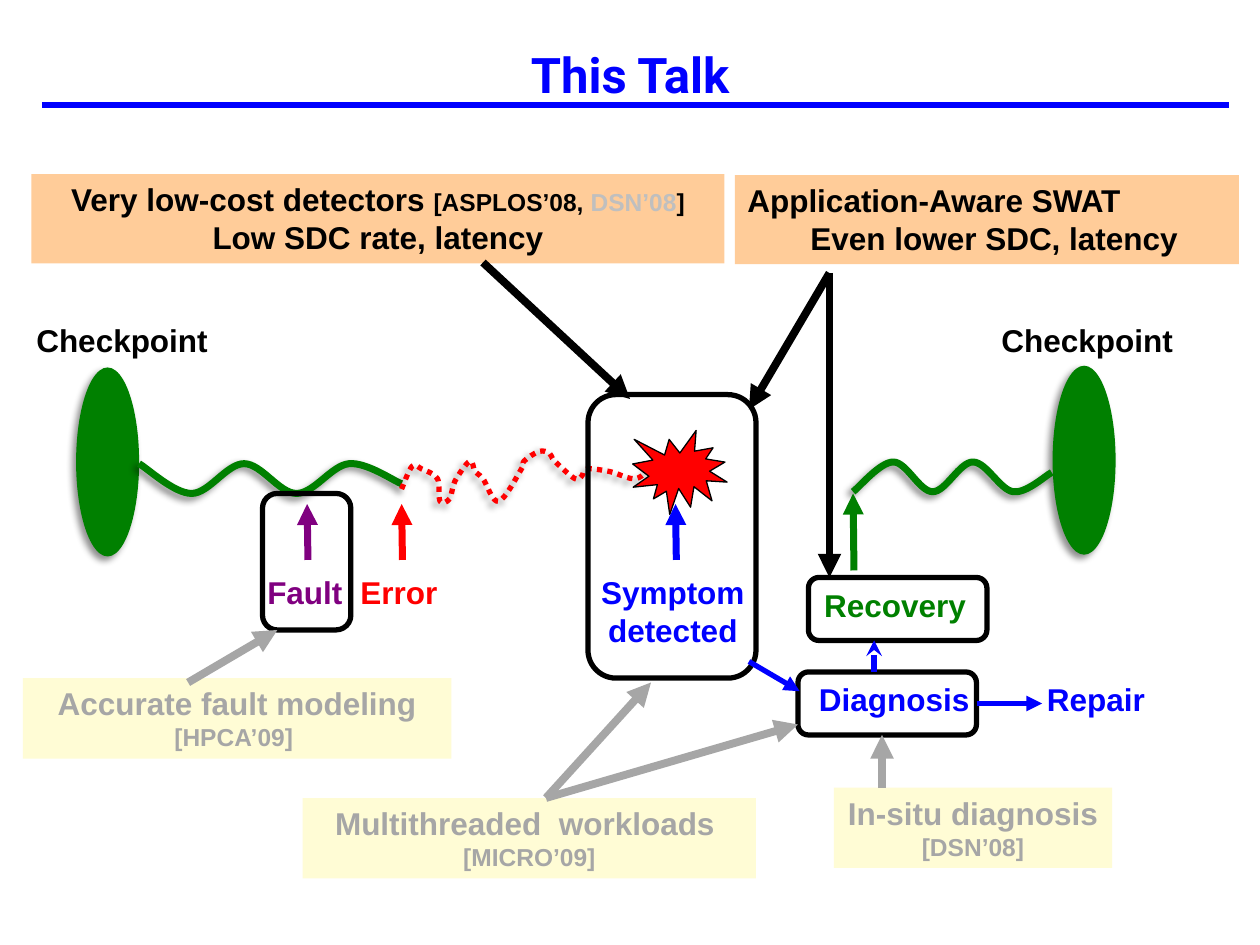
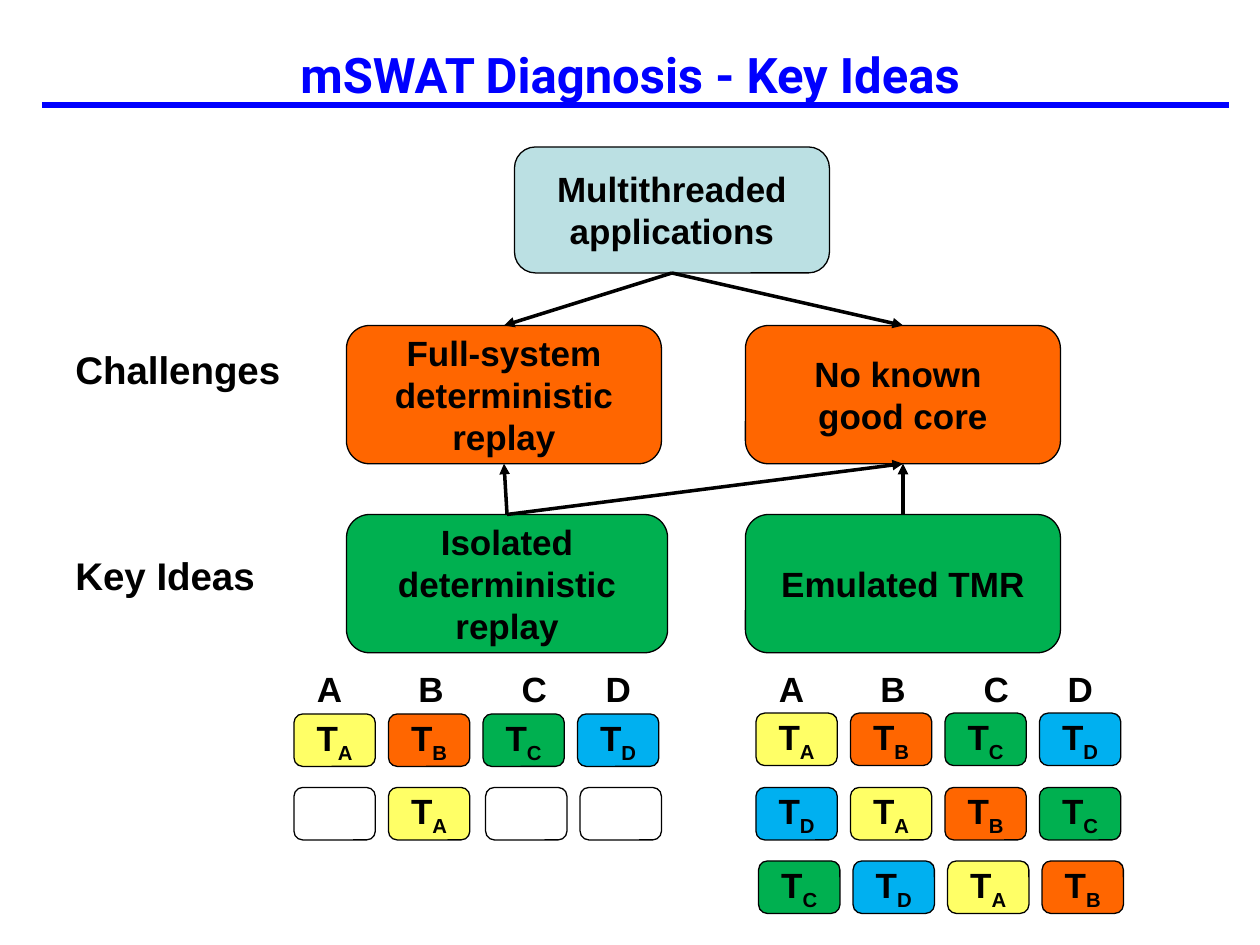
from dataclasses import dataclass
from typing import NamedTuple, Optional

import lxml.etree
import pptx
import pptx.dml.color
import pptx.enum.dml
import pptx.enum.shapes
import pptx.enum.text
import pptx.oxml
import pptx.oxml.ns
import pptx.util

Pt = pptx.util.Pt
RGB = pptx.dml.color.RGBColor
SHAPE = pptx.enum.shapes.MSO_SHAPE
ALIGN = pptx.enum.text.PP_ALIGN
ANCHOR = pptx.enum.text.MSO_ANCHOR
GROW = pptx.enum.text.MSO_AUTO_SIZE.SHAPE_TO_FIT_TEXT
STRAIGHT = pptx.enum.shapes.MSO_CONNECTOR.STRAIGHT
DOTS = pptx.enum.dml.MSO_LINE.ROUND_DOT

BLACK = RGB(0x00, 0x00, 0x00)
BLUE = RGB(0x00, 0x00, 0xFF)
GREEN = RGB(0x00, 0x80, 0x00)
RED = RGB(0xFF, 0x00, 0x00)
PURPLE = RGB(0x80, 0x00, 0x80)
GRAY = RGB(0xA6, 0xA6, 0xA6)
SILVER = RGB(0xBF, 0xBF, 0xBF)
PEACH = RGB(0xFF, 0xCC, 0x99)
CREAM = RGB(0xFF, 0xFC, 0xD5)
ORANGE = RGB(0xFF, 0x66, 0x00)
LEAF = RGB(0x00, 0xB0, 0x50)
TEAL = RGB(0xBB, 0xE0, 0xE3)
YELLOW = RGB(0xFF, 0xFF, 0x66)
SKY = RGB(0x00, 0xB0, 0xF0)

TOP, LEFT, BOTTOM, RIGHT = range(4)
BODY = "Arial"


class Box(NamedTuple):
    x: float
    y: float
    w: float
    h: float


class Span(NamedTuple):
    text: str
    size: float = 18
    color: RGB = BLACK


@dataclass
class Note:
    box: Box
    fill: RGB
    lines: list


@dataclass
class Label:
    text: str
    box: Box
    color: RGB = BLACK
    size: float = 18
    align: ALIGN = ALIGN.CENTER


@dataclass
class Arrow:
    start: tuple
    end: tuple
    color: RGB
    width: float
    head: str = "triangle"


@dataclass
class Node:
    text: str
    box: Box
    fill: RGB


class Row(NamedTuple):
    x: float
    y: float
    keys: str


# Shared drawing
def style(font, size: float, color: RGB, name: str = BODY) -> None:
    font.name, font.size, font.bold = name, Pt(size), True
    font.color.rgb = color


def write(frame, lines: list, align: ALIGN = ALIGN.CENTER) -> None:
    """Fill a text frame; each line is a list of spans."""
    for i, spans in enumerate(lines):
        para = frame.paragraphs[0] if i == 0 else frame.add_paragraph()
        para.alignment = align
        same = len({span[1:] for span in spans}) == 1
        if same:
            style(para.font, spans[0].size, spans[0].color)
        for span in spans:
            run = para.add_run()
            run.text = span.text
            if not same:
                style(run.font, span.size, span.color)


def add_box(slide, kind, box: Box, fill: Optional[RGB] = None,
            line: Optional[float] = None):
    shape = slide.shapes.add_shape(kind, *map(Pt, box))
    shape.shadow.inherit = False
    if fill is None:
        shape.fill.background()
    else:
        shape.fill.solid()
        shape.fill.fore_color.rgb = fill
    if line is None:
        shape.line.fill.background()
    else:
        shape.line.color.rgb, shape.line.width = BLACK, Pt(line)
    return shape


def add_label(slide, label: Label) -> None:
    frame = slide.shapes.add_textbox(*map(Pt, label.box)).text_frame
    frame.word_wrap, frame.auto_size = False, GROW
    lines = [[Span(text, label.size, label.color)]
             for text in label.text.split("\n")]
    write(frame, lines, label.align)


def add_line(slide, arrow: Arrow):
    line = slide.shapes.add_connector(
        STRAIGHT, *map(Pt, arrow.start + arrow.end))
    line.line.color.rgb, line.line.width = arrow.color, Pt(arrow.width)
    ns = pptx.oxml.ns.qn
    if arrow.head:
        tail = lxml.etree.SubElement(line.line._get_or_add_ln(), ns("a:tailEnd"))
        tail.set("type", arrow.head)
    lxml.etree.SubElement(line._element.spPr, ns("a:effectLst"))
    return line


def add_shadow(shape) -> None:
    shape.shadow.inherit = False
    effects = shape._element.spPr.find(pptx.oxml.ns.qn("a:effectLst"))
    effects.append(pptx.oxml.parse_xml(
        f'<a:outerShdw {pptx.oxml.ns.nsdecls("a")} blurRad="{Pt(4)}" '
        f'dist="{Pt(3)}" dir="{135 * 60000}" algn="ctr" rotWithShape="0">'
        '<a:srgbClr val="000000"><a:alpha val="43000"/></a:srgbClr>'
        '</a:outerShdw>'))


def add_curve(slide, knots: list, color: RGB, width: float, dash=None) -> None:
    """Draw a smooth curve through the knots, one cubic for each step."""
    ends = [knots[0], *knots, knots[-1]]
    points = []
    for a, b, c, d in zip(ends, ends[1:], ends[2:], ends[3:]):
        points += [tuple(Pt(q + (r - p) / 6) for p, q, r in zip(a, b, c)),
                   tuple(Pt(q + (p - r) / 6) for p, q, r in zip(b, c, d)),
                   tuple(map(Pt, c))]
    build = slide.shapes.build_freeform(*map(Pt, knots[0]))
    build.add_line_segments(points, close=False)
    curve = build.convert_to_shape()
    ns = pptx.oxml.ns.qn
    steps = list(curve._element.iter(ns("a:lnTo")))
    outline = steps[0].getparent()
    for i in range(0, len(steps), 3):
        cubic = lxml.etree.SubElement(outline, ns("a:cubicBezTo"))
        for step in steps[i:i + 3]:
            cubic.append(step[0])
            outline.remove(step)
    curve.fill.background()
    curve.line.color.rgb, curve.line.width = color, Pt(width)
    if dash:
        curve.line.dash_style = dash
    add_shadow(curve)


def add_slide(deck, text: str):
    slide = deck.slides.add_slide(deck.slide_layouts[5])
    add_line(slide, Arrow((24, 60), (702, 60), BLUE, 3, ""))
    title = slide.shapes.title
    title.left, title.top, title.width, title.height = map(Pt, (0, 12, 720, 60))
    frame = title.text_frame
    frame.text = text
    frame.vertical_anchor = ANCHOR.MIDDLE
    frame.paragraphs[0].alignment = ALIGN.CENTER
    style(frame.paragraphs[0].font, 28, BLUE, "Roboto")
    return slide


# Slide 1: overview of the talk
def gray_note(box: Box, head: str, venue: str) -> Note:
    return Note(box, CREAM, [[Span(head, 18, GRAY)], [Span(venue, 14, GRAY)]])


NOTES = [
    gray_note(Box(476.5, 450, 159, 46), "In-situ diagnosis ", "[DSN’08]"),
    gray_note(Box(13, 387.5, 245, 46), "Accurate fault modeling", "[HPCA’09] "),
    gray_note(Box(173, 456, 259, 46), "Multithreaded  workloads ", "[MICRO’09]"),
    Note(Box(18, 99.5, 396, 51), PEACH, [
        [Span("Very low-cost detectors "), Span("[ASPLOS’08, ", 14),
         Span("DSN’08", 14, SILVER), Span("]", 14)],
        [Span("Low SDC rate, latency")]]),
]
AWARE = Note(Box(420, 100, 288, 51), PEACH, [
    [Span("Application-Aware SWAT")], [Span("Even lower SDC, latency")]])
FRAMES = [Box(336, 225.5, 96, 162), Box(150, 282, 50.5, 78),
          Box(462, 330, 102, 36)]
DIAGNOSIS = Box(456, 384, 102, 36)
LABELS = [
    Label("Checkpoint", Box(13.5, 180, 112.5, 29)),
    Label("Checkpoint", Box(565, 180, 112.5, 29)),
    Label("Fault", Box(145.5, 324, 57.5, 29), PURPLE),
    Label("Error", Box(198.75, 324, 58.5, 29), RED),
    Label("Symptom\ndetected", Box(336.25, 324, 96.5, 50.5), BLUE),
    Label("Recovery", Box(463.5, 331.5, 96, 29), GREEN),
    Label("Diagnosis", Box(460.5, 385, 101, 29), BLUE),
    Label("Repair", Box(591, 385, 70.5, 29), BLUE),
]
ARROWS = [
    Arrow((276, 150), (360, 228), BLACK, 4.5),
    Arrow((474, 156), (428, 234), BLACK, 4.5),
    Arrow((474, 156), (474, 330), BLACK, 4.5),
    Arrow((504, 450), (504, 420), GRAY, 4.5),
    Arrow((107.5, 390), (158.5, 360), GRAY, 4.5),
    Arrow((312, 456), (372, 390), GRAY, 4.5),
    Arrow((312, 456), (456, 414), GRAY, 4.5),
    Arrow((176, 320), (175.5, 288), PURPLE, 4),
    Arrow((230, 320), (229.5, 288), RED, 4),
    Arrow((386.5, 320), (386, 288), BLUE, 4),
    Arrow((488, 326), (487.5, 282), GREEN, 4),
    Arrow((428, 378), (457, 395), BLUE, 3),
    Arrow((499.5, 384), (499.5, 366), BLUE, 3, "stealth"),
]
BEFORE = [(79.5, 265), (109.5, 282), (139.5, 265), (169.5, 282),
          (199.5, 265), (229.5, 276.5)]
AFTER = [(487.5, 281), (510.5, 264), (533, 281), (556, 264), (579, 281),
         (601, 270)]
FAULTY = [(229.5, 279.5), (235.5, 266.5), (241, 268), (250, 273.5),
          (251.5, 286.5), (257, 285), (260, 275), (268.5, 263.5),
          (271.5, 269.5), (276, 273.5), (285, 286.5), (298, 268),
          (299.5, 263.5), (308, 258), (314, 259), (317, 263.5), (328.5, 273.5),
          (332.5, 272), (335.5, 268), (348.5, 269.5), (363.5, 273.5),
          (373.5, 265)]


def talk(deck) -> None:
    slide = add_slide(deck, "This Talk")
    for note in NOTES + [AWARE]:
        shape = add_box(slide, SHAPE.RECTANGLE, note.box, note.fill)
        shape.text_frame.vertical_anchor = ANCHOR.TOP
        write(shape.text_frame, note.lines,
              ALIGN.LEFT if note is AWARE else ALIGN.CENTER)
    second = shape.text_frame.paragraphs[1]
    second.level = 1
    second._p.get_or_add_pPr().set("marL", str(Pt(36)))

    # Checkpoints and the run between them
    for x, y in ((43.5, 210), (601.5, 209)):
        add_shadow(add_box(slide, SHAPE.OVAL, Box(x, y, 36, 108), GREEN))
    add_curve(slide, BEFORE, GREEN, 4)
    add_curve(slide, FAULTY, RED, 3, DOTS)
    add_curve(slide, AFTER, GREEN, 4)
    add_box(slide, SHAPE.EXPLOSION1, Box(361.5, 246, 54, 48), RED, 0.75)

    # Stages, labels and arrows
    for box in FRAMES:
        add_box(slide, SHAPE.ROUNDED_RECTANGLE, box, line=3)
    stage = add_box(slide, SHAPE.ROUNDED_RECTANGLE, DIAGNOSIS, line=3)
    for label in LABELS:
        add_label(slide, label)
    for arrow in ARROWS:
        add_line(slide, arrow)
    repair = add_line(slide, Arrow((558, 402), (595.5, 402), BLUE, 3))
    repair.begin_connect(stage, RIGHT)


# Slide 2: key ideas of the diagnosis
NODES = {
    "apps": Node("Multithreaded applications", Box(294, 84, 180, 72), TEAL),
    "full": Node("Full-system deterministic replay",
                 Box(198, 186, 180, 79), ORANGE),
    "core": Node("No known \ngood core", Box(426, 186, 180, 79), ORANGE),
    "alone": Node("Isolated deterministic replay",
                  Box(198, 294, 183.5, 79), LEAF),
    "triple": Node("Emulated TMR", Box(426, 294, 180, 79), LEAF),
}
LINKS = [("apps", BOTTOM, "full", TOP), ("apps", BOTTOM, "core", TOP),
         ("alone", TOP, "full", BOTTOM), ("alone", TOP, "core", BOTTOM),
         ("triple", TOP, "core", BOTTOM)]
SIDES = [Label("Challenges", Box(36, 194, 133, 34), BLACK, 22, ALIGN.LEFT),
         Label("Key Ideas", Box(36, 312, 118, 34), BLACK, 22, ALIGN.LEFT)]
THREADS = {"A": YELLOW, "B": ORANGE, "C": LEAF, "D": SKY}
ROWS = [Row(168, 408, "ABCD"), Row(168, 450, "-A"), Row(277.5, 450, "--"),
        Row(432, 407.5, "ABCD"), Row(432, 450, "DABC"),
        Row(433.5, 492, "CDAB")]
STOPS = (58, 117, 165)


def add_cell(slide, box: Box, key: str) -> None:
    cell = add_box(slide, SHAPE.ROUNDED_RECTANGLE, box, THREADS.get(key), 0.75)
    if key in THREADS:
        write(cell.text_frame, [[Span("T", 20), Span(key, 20)]])
        sub = cell.text_frame.paragraphs[0].runs[1]
        sub._r.get_or_add_rPr().set("baseline", "-25000")


def add_heads(slide, x: float) -> None:
    frame = slide.shapes.add_textbox(*map(Pt, (x, 378, 204, 31.5))).text_frame
    frame.word_wrap = True
    write(frame, [[Span("\t".join(THREADS), 20)]], ALIGN.LEFT)
    tabs = "".join(f'<a:tab pos="{Pt(stop)}" algn="l"/>' for stop in STOPS)
    props = frame.paragraphs[0]._p.get_or_add_pPr()
    props.insert(0, pptx.oxml.parse_xml(
        f'<a:tabLst {pptx.oxml.ns.nsdecls("a")}>{tabs}</a:tabLst>'))


def ideas(deck) -> None:
    slide = add_slide(deck, "mSWAT Diagnosis - Key Ideas")
    for label in SIDES:
        add_label(slide, label)

    # Challenges and the ideas that meet them
    shapes = {}
    for key, node in NODES.items():
        shape = add_box(slide, SHAPE.ROUNDED_RECTANGLE, node.box, node.fill, 0.75)
        write(shape.text_frame,
              [[Span(text, 20)] for text in node.text.split("\n")])
        shapes[key] = shape
    for start, out, end, into in LINKS:
        link = add_line(slide, Arrow((0, 0), (0, 0), BLACK, 2))
        link.begin_connect(shapes[start], out)
        link.end_connect(shapes[end], into)

    # Threads on cores A to D
    for x in (174, 438):
        add_heads(slide, x)
    for row in ROWS:
        for i, key in enumerate(row.keys):
            add_cell(slide, Box(row.x + 54 * i, row.y, 46.5, 30), key)


def main() -> None:
    deck = pptx.Presentation()
    deck.slide_width, deck.slide_height = Pt(720), Pt(540)
    talk(deck)
    ideas(deck)
    deck.save("out.pptx")


if __name__ == "__main__":
    main()
